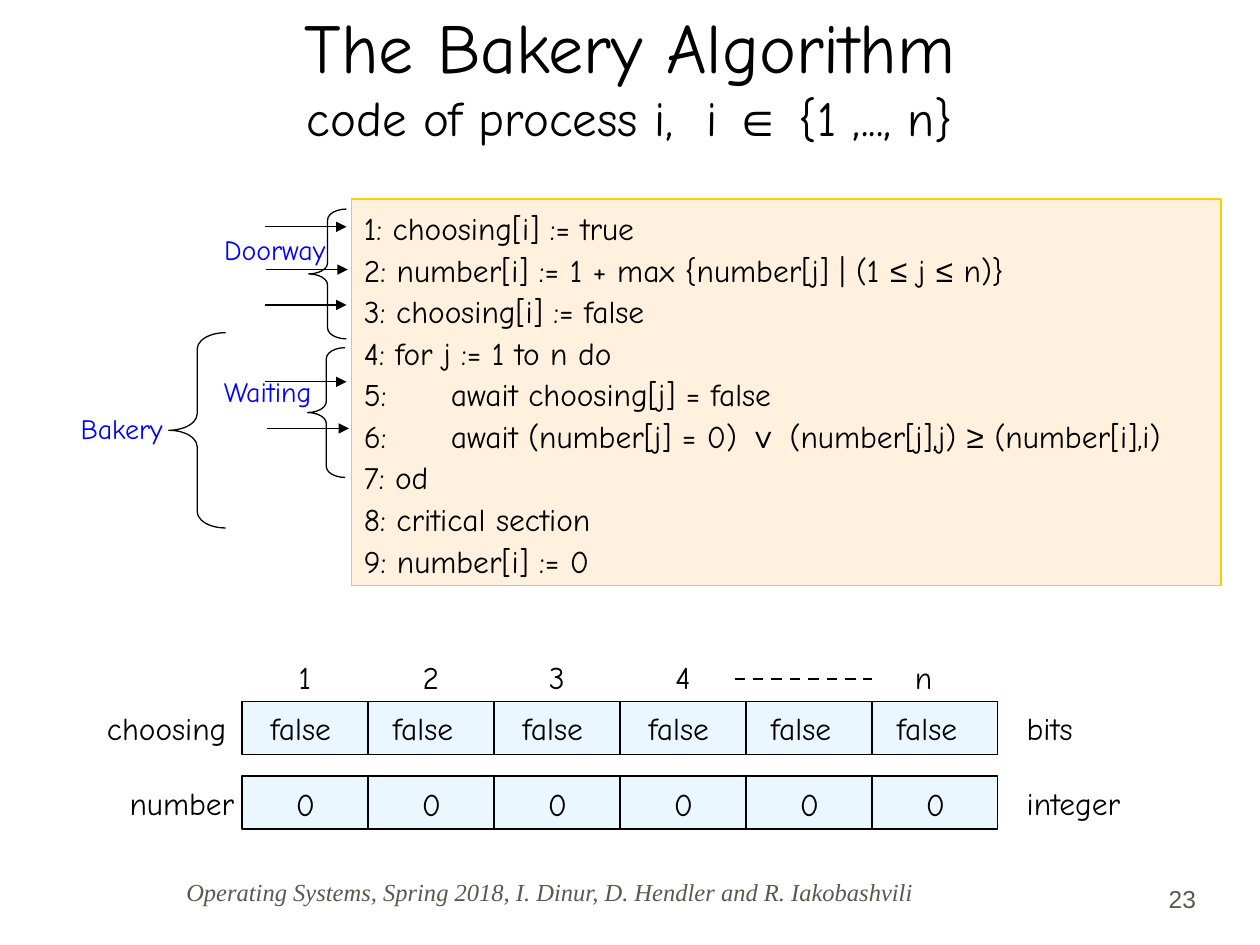
from itertools import groupby

from lxml.etree import SubElement
from pptx import Presentation
from pptx.dml.color import RGBColor
from pptx.enum.dml import MSO_LINE
from pptx.enum.shapes import MSO_CONNECTOR, MSO_SHAPE
from pptx.enum.text import MSO_ANCHOR, MSO_AUTO_SIZE, PP_ALIGN
from pptx.oxml.ns import qn
from pptx.util import Inches, Pt

COLUMNS, ROWS = 10, 7.5
BOLD_SYMBOLS = "∈∨"
SYMBOLS = BOLD_SYMBOLS + "≤≥"
CODE = [
    "1: choosing[i] := true",
    "2: number[i] := 1 + max {number[j] | (1 ≤ j ≤ n)}",
    "3: choosing[i] := false",
    "4: for j := 1 to n do",
    "5:\tawait choosing[j] = false",
    "6:\tawait (number[j] = 0) ∨ (number[j],j) ≥ (number[i],i)",
    "7: od",
    "8: critical section",
    "9: number[i] := 0",
]


def color(value):
    return RGBColor.from_string(value)


def write(para, text, size=18, font="Comic Neue", ink="000000", italic=False,
          align=PP_ALIGN.LEFT, spacing=None, tab=None):
    para.alignment = align
    if spacing:
        para.line_spacing = spacing
    if tab:
        stops = SubElement(para._p.get_or_add_pPr(), qn("a:tabLst"))
        SubElement(stops, qn("a:tab"), pos=str(Inches(tab)), algn="l")
    for is_symbol, letters in groupby(text, key=lambda letter: letter in SYMBOLS):
        span = para.add_run()
        span.text = "".join(letters)
        span.font.name = "Arial" if is_symbol else font
        span.font.size = Pt(size)
        span.font.bold = span.text in BOLD_SYMBOLS
        span.font.italic = italic
        span.font.color.rgb = color(ink)


class Slide:
    ink, label, muted = "000000", "0000FF", "5E574E"
    code_fill, code_line, cell_fill = "FFF1DD", "FFCC00", "EBF7FF"
    thin = 0.75

    def __init__(self, deck):
        self.column = deck.slide_width / COLUMNS
        self.row = deck.slide_height / ROWS
        self.page = deck.slides.add_slide(deck.slide_layouts[5])

    def across(self, columns):
        return round(columns * self.column)

    def down(self, rows):
        return round(rows * self.row)

    def area(self, left, top, width, height):
        return self.across(left), self.down(top), self.across(width), self.down(height)

    def title(self, place, heading, subheading):
        box = self.page.shapes.title
        box.left, box.top, box.width, box.height = self.area(*place)
        frame = box.text_frame
        frame.auto_size = MSO_AUTO_SIZE.NONE
        frame.vertical_anchor = MSO_ANCHOR.MIDDLE
        para = frame.paragraphs[0]
        write(para, heading, size=40, align=PP_ALIGN.CENTER)
        para.add_line_break()
        write(para, subheading, size=28, align=PP_ALIGN.CENTER)

    def text(self, place, text, wrap=False, anchor=MSO_ANCHOR.TOP, **style):
        frame = self.page.shapes.add_textbox(*self.area(*place)).text_frame
        frame.word_wrap = wrap
        frame.vertical_anchor = anchor
        write(frame.paragraphs[0], text, **style)

    def shape(self, kind, place, fill=None, line=ink):
        box = self.page.shapes.add_shape(kind, *self.area(*place))
        box.shadow.inherit = False
        if fill:
            box.fill.solid()
            box.fill.fore_color.rgb = color(fill)
        else:
            box.fill.background()
        box.line.color.rgb = color(line)
        box.line.width = Pt(self.thin)
        return box

    def code(self, place, lines):
        box = self.shape(MSO_SHAPE.RECTANGLE, place, self.code_fill, self.code_line)
        frame = box.text_frame
        frame.word_wrap = True
        frame.vertical_anchor = MSO_ANCHOR.TOP
        for index, line in enumerate(lines):
            para = frame.add_paragraph() if index else frame.paragraphs[0]
            write(para, line, spacing=1.1, tab=0.69)

    def brace(self, place):
        box = self.shape(MSO_SHAPE.LEFT_BRACE, place)
        box.adjustments[0] = 0.29

    def line(self, start, end, width=thin, dash=None, arrow=False):
        link = self.page.shapes.add_connector(
            MSO_CONNECTOR.STRAIGHT,
            self.across(start[0]), self.down(start[1]),
            self.across(end[0]), self.down(end[1]))
        link.line.color.rgb = color(self.ink)
        link.line.width = Pt(width)
        if dash:
            link.line.dash_style = dash
        if arrow:
            SubElement(link.line._get_or_add_ln(), qn("a:tailEnd"), type="triangle")
        SubElement(link._element.spPr, qn("a:effectLst"))

    def array(self, top, name, name_left, name_width, kind):
        left, cells, height = 1.92, 6, 0.42
        self.shape(MSO_SHAPE.RECTANGLE, (left, top, cells, height), self.cell_fill)
        for index in range(1, cells):
            self.line((left + index, top), (left + index, top + height))
        self.text((name_left, top + 0.01, name_width, 0.4), name)
        self.text((8.05, top + 0.01, 1, 0.4), kind, wrap=True)


def main():
    deck = Presentation()
    deck.slide_width, deck.slide_height = Inches(COLUMNS), Inches(ROWS)
    slide = Slide(deck)

    slide.title((0.75, -0.03, 8.5, 1.25), "The Bakery Algorithm",
                "code of process i,  i ∈ {1 ,..., n}")
    slide.code((2.79, 1.58, 6.9, 3.07), CODE)

    for center, label in zip((2.42, 3.42, 4.42, 5.42, 7.33), "1234n"):
        slide.text((center - 0.17, 5.17, 0.34, 0.4), label, align=PP_ALIGN.CENTER)
    slide.line((5.83, 5.39), (6.92, 5.39), width=1.5, dash=MSO_LINE.DASH)

    slide.array(5.57, "choosing", 0.75, 1.15, "bits")
    slide.array(6.16, "number", 0.93, 1.03, "integer")
    for index, left in enumerate((2.05, 3.02, 4.05, 5.05, 6.02, 7.02)):
        slide.text((left, 5.58, 0.68, 0.4), "false")
        slide.text((2.25 + index, 6.18, 0.35, 0.4), "0")

    for brace, label, left, top in (
        ((2.45, 1.66, 0.3, 1.03), "Doorway", 1.29, 1.8),
        ((2.44, 2.76, 0.3, 1.03), "Waiting", 1.18, 2.92),
        ((1.34, 2.64, 0.45, 1.55), "Bakery", 0, 3.22),
    ):
        slide.brace(brace)
        slide.text((left, top, 1.39, 0.37), label, wrap=True, size=16,
                   ink=slide.label, align=PP_ALIGN.RIGHT)

    for left, height in ((2.1, 1.8), (2.11, 2.14), (2.1, 2.42), (2.1, 3.03), (2.12, 3.4)):
        slide.line((left, height), (left + 0.65, height), arrow=True)

    slide.text((1.38, 6.9, 6.38, 0.34),
               "Operating Systems, Spring 2018, I. Dinur, D. Hendler and R. Iakobashvili",
               wrap=True, anchor=MSO_ANCHOR.BOTTOM, size=14,
               font="Times New Roman", ink=slide.muted, italic=True)
    slide.text((8.44, 6.8, 1.15, 0.5), "23", wrap=True, anchor=MSO_ANCHOR.BOTTOM,
               size=14, font="Arial", ink=slide.muted, align=PP_ALIGN.RIGHT)
    deck.save("out.pptx")


if __name__ == "__main__":
    main()
